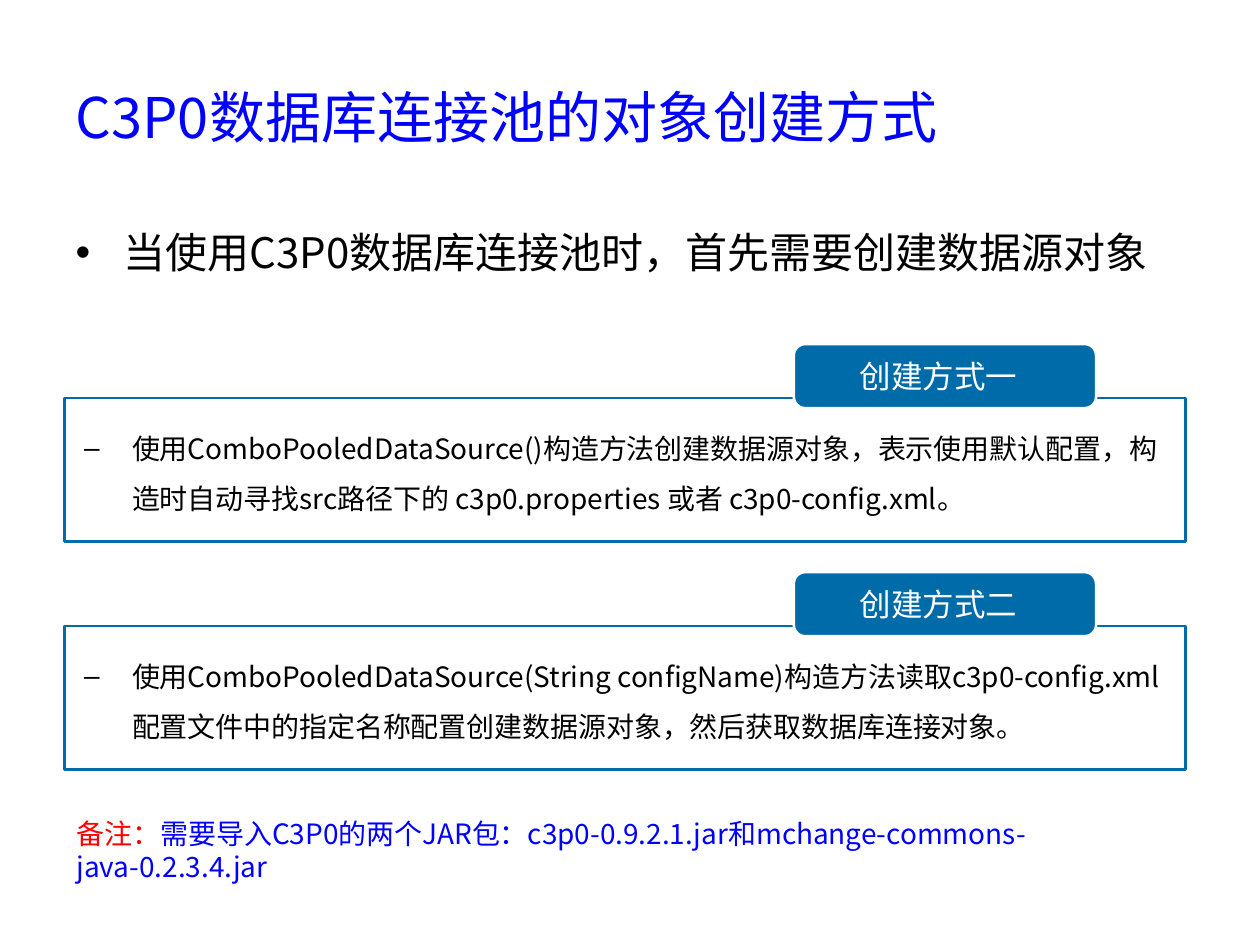
from lxml.etree import SubElement
from pptx import Presentation
from pptx.dml.color import RGBColor
from pptx.enum.shapes import MSO_SHAPE
from pptx.enum.text import MSO_ANCHOR, MSO_AUTO_SIZE, PP_ALIGN
from pptx.oxml.ns import qn
from pptx.util import Inches, Pt

FONT = "Noto Sans CJK SC"
COLORS = {
    "heading": "0000FF",
    "text": "000000",
    "accent": "006BA9",
    "light": "FFFFFF",
    "warning": "FF0000",
}
METHODS = [
    ("创建方式一", "使用ComboPooledDataSource()构造方法创建数据源对象，表示使用默认配置，"
     "构造时自动寻找src路径下的 c3p0.properties 或者 c3p0-config.xml。"),
    ("创建方式二", "使用ComboPooledDataSource(String configName)构造方法读取c3p0-config.xml"
     "配置文件中的指定名称配置创建数据源对象，然后获取数据库连接对象。"),
]


def color(name):
    """Return the named colour."""
    return RGBColor.from_string(COLORS[name])


def place(box, left, top, width, height):
    """Move and size a box, in inches."""
    box.left, box.top = Inches(left), Inches(top)
    box.width, box.height = Inches(width), Inches(height)


def add_text(para, text, size=16, fill="text"):
    """Add a formatted span to a paragraph."""
    span = para.add_run()
    span.text = text
    span.font.size = Pt(size)
    span.font.name = FONT
    span.font.color.rgb = color(fill)
    SubElement(span.font._element, qn("a:ea"), typeface=FONT)


def set_bullet(para, mark, size, spacing=1.0):
    """Give a paragraph a hanging bullet and its spacing."""
    para.line_spacing = spacing
    para.space_before = Pt(size * 0.2)
    properties = para._p.get_or_add_pPr()
    properties.set("marL", str(Inches(0.38)))
    properties.set("indent", str(-Inches(0.38)))
    SubElement(properties, qn("a:buFont"), typeface="Arial")
    SubElement(properties, qn("a:buChar"), char=mark)


def add_panel(page, kind, left, top, width, height, fill=None, line="accent"):
    """Add an outlined shape, filled when a fill is named."""
    box = page.shapes.add_shape(
        kind, Inches(left), Inches(top), Inches(width), Inches(height))
    box.shadow.inherit = False
    if fill:
        box.fill.solid()
        box.fill.fore_color.rgb = color(fill)
    else:
        box.fill.background()
    box.line.color.rgb = color(line)
    box.line.width = Pt(1.5)
    return box


def add_textbox(page, left, top, width, height):
    """Add a wrapping text box and return its first paragraph."""
    frame = page.shapes.add_textbox(
        Inches(left), Inches(top), Inches(width), Inches(height)).text_frame
    frame.word_wrap = True
    return frame.paragraphs[0]


def add_heading(page, left, top, width, height):
    """Fill the title placeholder."""
    title = page.shapes.title
    place(title, left, top, width, height)
    title.text_frame.auto_size = MSO_AUTO_SIZE.NONE
    title.text_frame.vertical_anchor = MSO_ANCHOR.MIDDLE
    para = title.text_frame.paragraphs[0]
    para.alignment = PP_ALIGN.LEFT
    add_text(para, "C3P0数据库连接池的对象创建方式", size=32, fill="heading")


def add_intro(page, left, top, width, height):
    """Fill the body placeholder."""
    body = page.placeholders[1]
    place(body, left, top, width, height)
    body.text_frame.auto_size = MSO_AUTO_SIZE.NONE
    para = body.text_frame.paragraphs[0]
    set_bullet(para, "•", 24)
    add_text(para, "当使用C3P0数据库连接池时，首先需要创建数据源对象", size=24)


def add_method(page, label, text, left, top, width, height):
    """Add a framed description with a label tab on its top edge."""
    add_panel(page, MSO_SHAPE.RECTANGLE, left, top, width, height)
    para = add_textbox(page, left + 0.06, top + 0.08, width - 0.04, height - 0.16)
    set_bullet(para, "–", 16, spacing=1.5)
    add_text(para, text)

    tab = add_panel(page, MSO_SHAPE.ROUNDED_RECTANGLE, left + 5.79, top - 0.43,
                    2.4, 0.51, fill="accent", line="light")
    tab.adjustments[0] = 0.18
    frame = tab.text_frame
    frame.margin_right = Inches(0.2)
    frame.vertical_anchor = MSO_ANCHOR.MIDDLE
    frame.paragraphs[0].alignment = PP_ALIGN.CENTER
    add_text(frame.paragraphs[0], label, size=18, fill="light")


def add_remark(page, left, top, width, height):
    """Add the remark below the methods."""
    para = add_textbox(page, left, top, width, height)
    add_text(para, "备注：", fill="warning")
    add_text(para, "需要导入C3P0的两个JAR包：c3p0-0.9.2.1.jar和"
             "mchange-commons-java-0.2.3.4.jar", fill="heading")


def main():
    """Build and save the deck."""
    deck = Presentation()
    deck.slide_width, deck.slide_height = Inches(10), Inches(7.5)
    page = deck.slides.add_slide(deck.slide_layouts[1])
    add_heading(page, 0.5, 0.3, 9, 1.25)
    add_intro(page, 0.5, 1.75, 9, 4.95)
    for index, (label, text) in enumerate(METHODS):
        add_method(page, label, text, 0.51, 3.16 + 1.81 * index, 8.9, 1.14)
    add_remark(page, 0.51, 6.43, 8.9, 0.64)
    deck.save("out.pptx")


if __name__ == "__main__":
    main()
